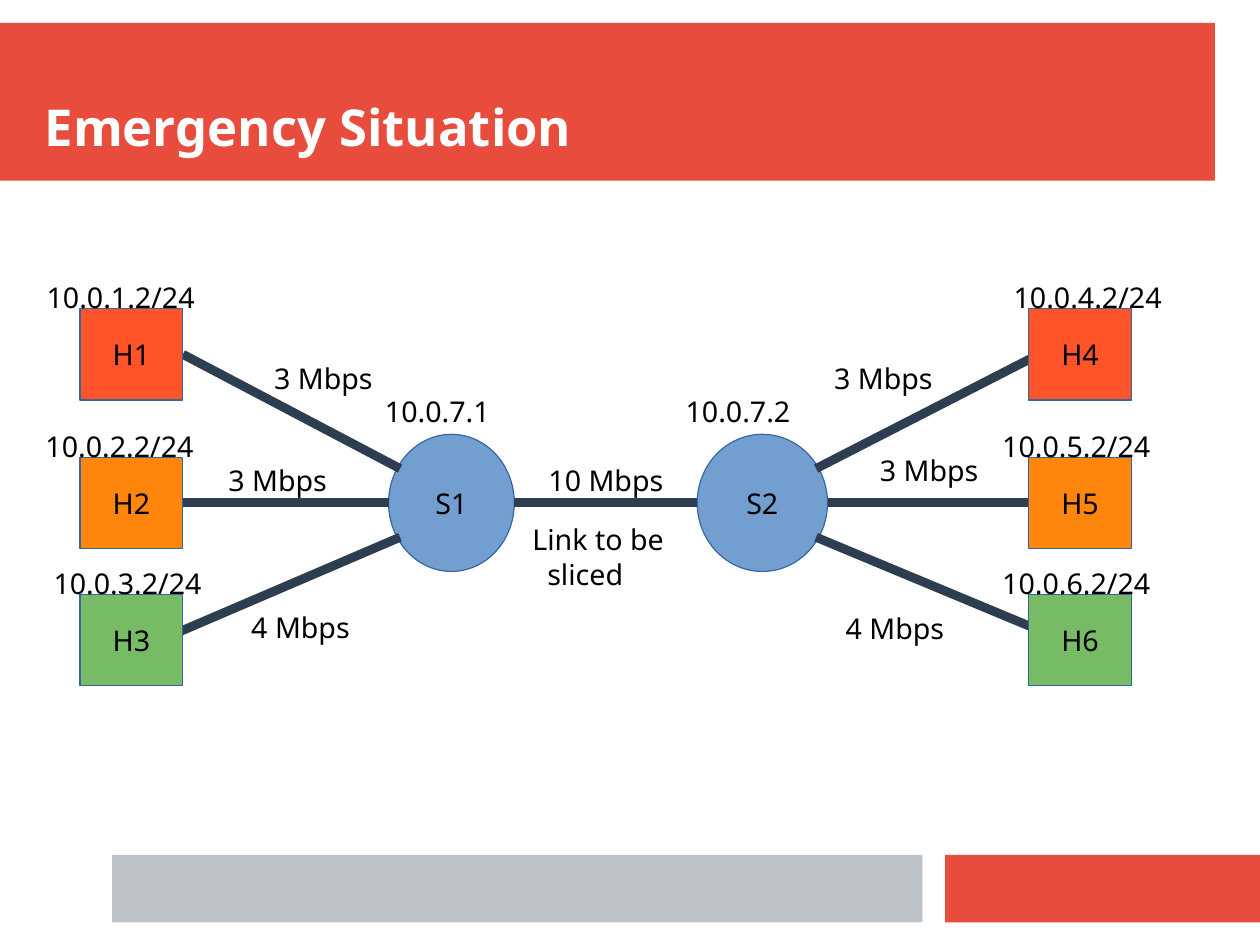
"""Build the slide 'Emergency Situation': six hosts joined through two switches."""
import pptx
import pptx.util
import pptx.dml.color
import pptx.enum.shapes
import pptx.enum.text
import pptx.oxml.ns
from lxml import etree

RGBColor = pptx.dml.color.RGBColor
RED = RGBColor(0xE7, 0x4C, 0x3C)
SILVER = RGBColor(0xBD, 0xC3, 0xC7)
NAVY = RGBColor(0x2C, 0x3E, 0x50)
BLUE = RGBColor(0x72, 0x9F, 0xCF)
OUTLINE = RGBColor(0x34, 0x65, 0xA4)
VERMILION = RGBColor(0xFF, 0x54, 0x29)
ORANGE = RGBColor(0xFF, 0x86, 0x0D)
GREEN = RGBColor(0x77, 0xBC, 0x65)
BLACK = RGBColor(0, 0, 0)
WHITE = RGBColor(255, 255, 255)

FONT = "Noto Sans"
PAGE_WIDTH, PAGE_HEIGHT = pptx.util.Cm(28), pptx.util.Cm(21)
HEADING = "Emergency Situation"
BANDS = [
    (0, 2, 106.3, 13.8, RED),
    (82.7, 74.8, 27.6, 5.9, RED),
    (9.8, 74.8, 70.9, 5.9, SILVER),
]
HOST_WIDTH, HOST_HEIGHT = 9, 8
HOST_ROWS = [(27, VERMILION), (40, ORANGE), (52, GREEN)]
PORTS = [(1, -3), (0, 0), (1, 3)]
SWITCH_TOP, SWITCH_HEIGHT = 38, 12
SIDES = [
    {"switch": ("S1", 34, 11), "address": ("10.0.7.1", 32.7), "host_left": 7, "facing": 1,
     "hosts": [("H1", "10.0.1.2/24", 3.1, 0), ("H2", "10.0.2.2/24", 3, 2),
               ("H3", "10.0.3.2/24", 3.7, 2)],
     "rates": [("3 Mbps", 23, 31.1), ("3 Mbps", 19, 40), ("4 Mbps", 21, 52.9)]},
    {"switch": ("S2", 61, 11.4), "address": ("10.0.7.2", 59), "host_left": 90, "facing": -1,
     "hosts": [("H4", "10.0.4.2/24", 87.7, 0.9), ("H5", "10.0.5.2/24", 86.7, 3),
               ("H6", "10.0.6.2/24", 86.7, 3)],
     "rates": [("3 Mbps", 72, 31.1), ("3 Mbps", 76, 39.1), ("4 Mbps", 73, 53)]},
]
TRUNK_RATE = ("10 Mbps", 47, 40)
TRUNK_NOTE = [("Link to be", 0.6), ("sliced", 1.9)]
TRUNK_NOTE_AT = (45, 45.2)


def grid(*cells):
    return [pptx.util.Inches(cell / 10) for cell in cells]


def write(paragraph, words, size=18, color=BLACK, bold=False):
    run = paragraph.add_run()
    run.text = words
    run.font.name, run.font.size, run.font.bold = FONT, pptx.util.Pt(size), bold
    run.font.color.rgb = color


def block(kind, left, top, width, height, fill, label=None):
    shape = slide.shapes.add_shape(kind, *grid(left, top, width, height))
    shape.shadow.inherit = False
    shape.fill.solid()
    shape.fill.fore_color.rgb = fill
    if label is None:
        shape.line.fill.background()
        return
    shape.line.color.rgb = OUTLINE
    shape.line.width = pptx.util.Pt(0.75)
    frame = shape.text_frame
    frame.word_wrap = False
    frame.vertical_anchor = pptx.enum.text.MSO_ANCHOR.MIDDLE
    frame.paragraphs[0].alignment = pptx.enum.text.PP_ALIGN.CENTER
    write(frame.paragraphs[0], label)


def caption(lines, left, top, width=16.3, height=3.9):
    frame = slide.shapes.add_textbox(*grid(left, top, width, height)).text_frame
    frame.word_wrap = True
    for number, (words, indent) in enumerate(lines):
        paragraph = frame.add_paragraph() if number else frame.paragraphs[0]
        if indent:
            paragraph._p.get_or_add_pPr().set("marL", str(grid(indent)[0]))
        write(paragraph, words)


def link(x1, y1, x2, y2):
    line = slide.shapes.add_connector(
        pptx.enum.shapes.MSO_CONNECTOR.STRAIGHT, *grid(x1, y1, x2, y2))
    line.line.color.rgb = NAVY
    line.line.width = pptx.util.Pt(5.67)
    etree.SubElement(line._element.spPr, pptx.oxml.ns.qn("a:effectLst"))


deck = pptx.Presentation()
deck.slide_width, deck.slide_height = PAGE_WIDTH, PAGE_HEIGHT
slide = deck.slides.add_slide(deck.slide_layouts[5])
RECTANGLE = pptx.enum.shapes.MSO_SHAPE.RECTANGLE
OVAL = pptx.enum.shapes.MSO_SHAPE.OVAL

for left, top, width, height, color in BANDS:
    block(RECTANGLE, left, top, width, height, color)

title = slide.shapes.title
title.left, title.top, title.width, title.height = grid(3.9, 3.9, 102.4, 9.8)
heading = title.text_frame
heading.margin_left = heading.margin_right = heading.margin_top = heading.margin_bottom = 0
heading.vertical_anchor = pptx.enum.text.MSO_ANCHOR.BOTTOM
heading.paragraphs[0].alignment = pptx.enum.text.PP_ALIGN.LEFT
write(heading.paragraphs[0], HEADING, 32, WHITE, True)
slide.shapes._spTree.append(title._element)

middle = SWITCH_TOP + SWITCH_HEIGHT / 2
trunk = []
for side in SIDES:
    name, left, width = side["switch"]
    facing = side["facing"]
    block(OVAL, left, SWITCH_TOP, width, SWITCH_HEIGHT, BLUE, name)
    switch_edge = left if facing > 0 else left + width
    trunk.append(switch_edge + facing * width)
    host_edge = side["host_left"] + (HOST_WIDTH if facing > 0 else 0)
    for host, row, port in zip(side["hosts"], HOST_ROWS, PORTS):
        name, address, address_left, overlap = host
        top, color = row
        inset, drop = port
        link(switch_edge + facing * inset, middle + drop,
             host_edge - facing * overlap, top + HOST_HEIGHT / 2)
        block(RECTANGLE, side["host_left"], top, HOST_WIDTH, HOST_HEIGHT, color, name)
        caption([(address, 0)], address_left, top - 3)
    for rate, left, top in side["rates"]:
        caption([(rate, 0)], left, top, 11)
    address, left = side["address"]
    caption([(address, 0)], left, SWITCH_TOP - 4)

link(trunk[0], middle, trunk[1], middle)
rate, left, top = TRUNK_RATE
caption([(rate, 0)], left, top, 13)
caption(TRUNK_NOTE, *TRUNK_NOTE_AT, 16, 6.8)

deck.save("out.pptx")
